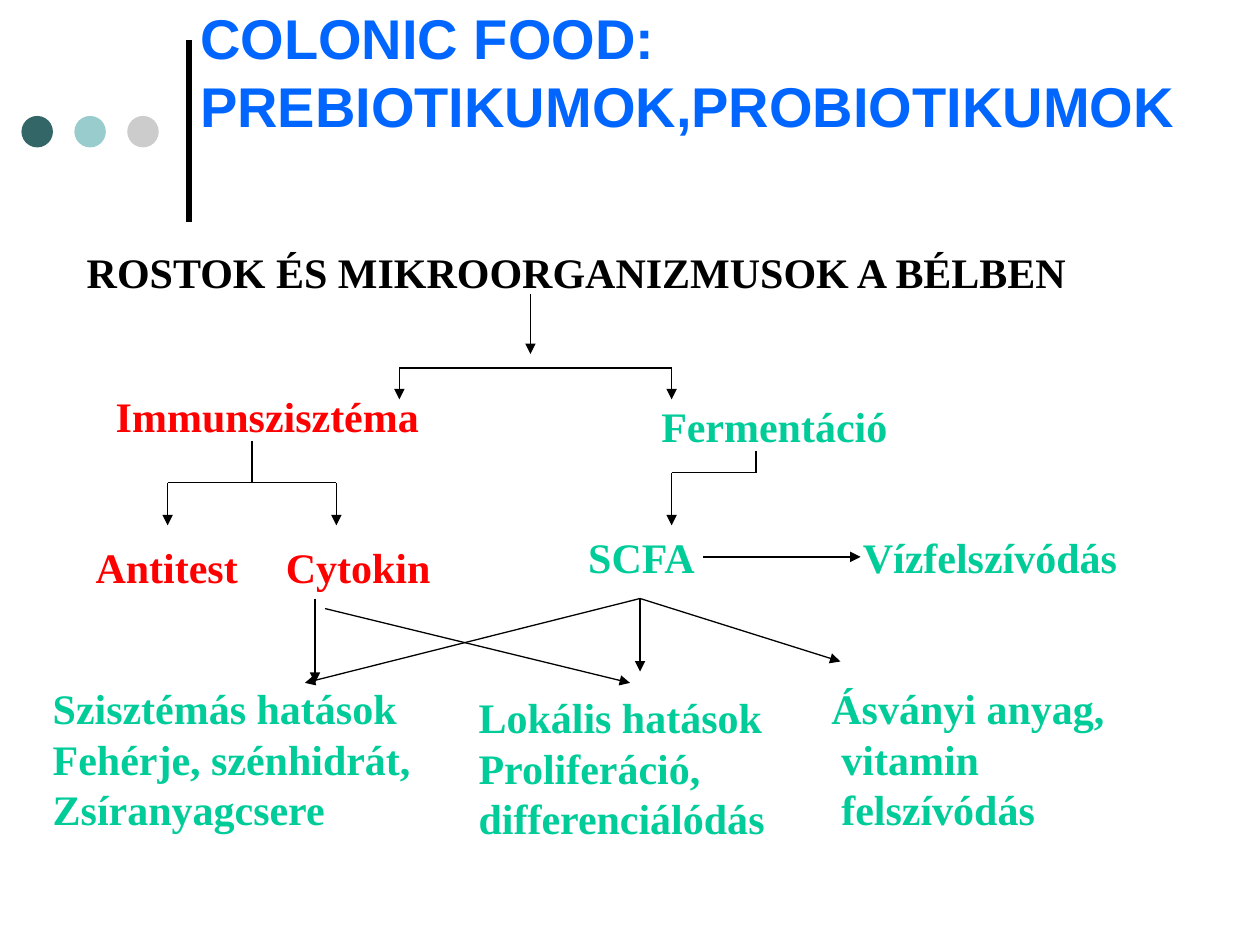
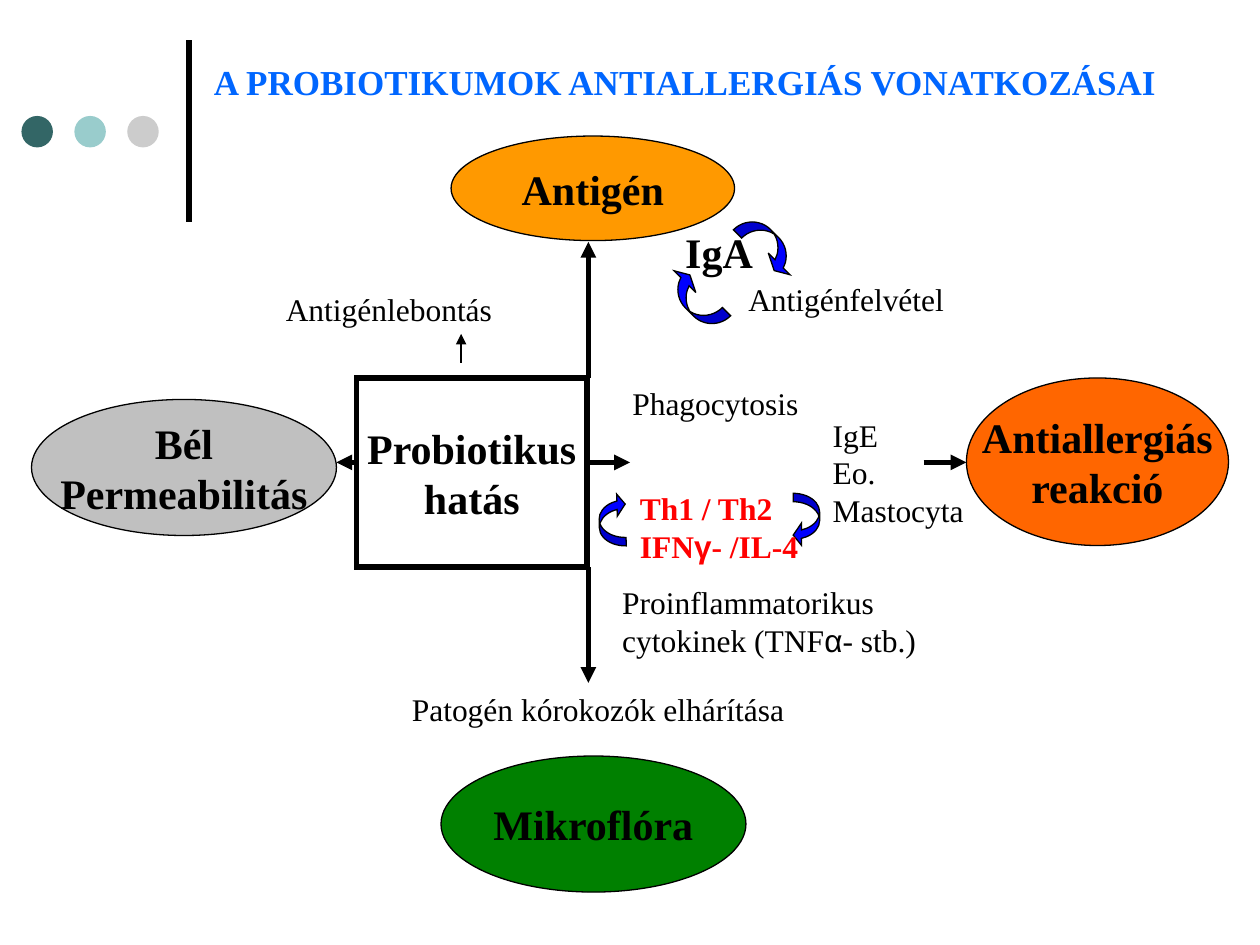
from dataclasses import dataclass
from itertools import groupby

from lxml import etree
from pptx import Presentation
from pptx.dml.color import RGBColor
from pptx.enum import shapes, text
from pptx.oxml import ns
from pptx.util import Inches, Pt


@dataclass(frozen=True)
class Theme:
    title: str = "0066FF"
    ink: str = "000000"
    immune: str = "FF0000"
    gut: str = "00CC99"
    dots: tuple[str, ...] = ("336666", "99CCCC", "CCCCCC")
    cycle: str = "0000FF"
    serif: str = "Times New Roman"
    sans: str = "Arial"
    large_title: float = 32
    small_title: float = 20
    node: float = 24
    note: float = 18
    thin: float = 0.75
    thick: float = 3


THEME = Theme()
Point = tuple[float, float]
Box = tuple[float, float, float, float]


@dataclass(frozen=True)
class Style:
    size: float = THEME.node
    colour: str = THEME.ink
    bold: bool = True
    font: str = THEME.serif
    centred: bool = False


@dataclass(frozen=True)
class Label:
    """Text in a box; a newline starts a paragraph, a vertical tab a line."""
    words: str
    box: Box
    style: Style = Style()
    hanging: float = 0


@dataclass(frozen=True)
class Link:
    start: Point
    end: Point
    arrow: bool = True
    width: float = THEME.thin


@dataclass(frozen=True)
class Node:
    words: str
    box: Box
    fill: str | None
    preset: shapes.MSO_SHAPE = shapes.MSO_SHAPE.OVAL
    width: float = THEME.thin


@dataclass(frozen=True)
class CycleArrow:
    box: Box
    angle: float


NODE = Style(centred=True)
NOTE = Style(THEME.note, bold=False)
IMMUNE = Style(colour=THEME.immune)
GUT = Style(colour=THEME.gut)

# Curved arrow: band and head as parts of its width, head length of its height.
CYCLE_BAND, CYCLE_HEAD, CYCLE_HEAD_LENGTH = .16, .42, .31

FLOW_LABELS = [
    Label("ROSTOK ÉS MIKROORGANIZMUSOK A BÉLBEN", (.59, 1.91, 8.66, .5)),
    Label("Immunszisztéma", (.82, 3.05, 2.64, .5), IMMUNE),
    Label("Fermentáció", (5.15, 3.13, 2.03, .5), GUT),
    Label("Antitest", (.66, 4.25, 1.35, .5), IMMUNE),
    Label("Cytokin", (2.17, 4.25, 1.37, .5), IMMUNE),
    Label("SCFA", (4.57, 4.17, 1.09, .5), GUT),
    Label("Vízfelszívódás", (6.75, 4.17, 2.24, .5), GUT),
    Label("Szisztémás hatások\nFehérje, szénhidrát,\nZsíranyagcsere",
          (.32, 5.37, 3.06, 1.3), GUT),
    Label("Lokális hatások\nProliferáció,\ndifferenciálódás",
          (3.7, 5.44, 2.5, 1.3), GUT),
    Label("Ásványi anyag,\nvitamin\nfelszívódás",
          (6.5, 5.37, 2.4, 1.3), GUT, hanging=.08),
]
FLOW_LINKS = [
    Link((4.21, 2.33), (4.21, 2.81)),
    Link((3.17, 2.92), (5.33, 2.92), arrow=False),
    Link((3.17, 2.92), (3.17, 3.17)),
    Link((5.33, 2.92), (5.33, 3.17)),
    Link((2, 3.5), (2, 3.83), arrow=False),
    Link((1.33, 3.83), (2.67, 3.83), arrow=False),
    Link((1.33, 3.83), (1.33, 4.17)),
    Link((2.67, 3.83), (2.67, 4.17)),
    Link((6, 3.58), (6, 3.75), arrow=False),
    Link((5.33, 3.75), (6, 3.75), arrow=False),
    Link((5.33, 3.75), (5.33, 4.17)),
    Link((5.58, 4.42), (6.83, 4.42)),
    *(Link((5.08, 4.75), end) for end in ((6.67, 5.25), (5.08, 5.33), (2.42, 5.42))),
    Link((2.5, 4.75), (2.5, 5.42)),
    Link((2.58, 4.83), (5, 5.42)),
]

EFFECT_NODES = [
    Node("Probiotikus\vhatás", (2.83, 3, 1.83, 1.5), None,
         shapes.MSO_SHAPE.RECTANGLE, THEME.thick),
    Node("Antigén", (3.58, 1.08, 2.25, .83), "FF9900"),
    Node("Mikroflóra", (3.5, 6, 2.42, 1.08), "008000"),
    Node("Bél\nPermeabilitás", (.25, 3.17, 2.42, 1.08), "C0C0C0"),
    Node("Antiallergiás\vreakció", (7.67, 3, 2.08, 1.33), "FF6600"),
]
EFFECT_LINKS = [
    *(Link(start, end, width=THEME.thick) for start, end in (
        ((4.67, 3), (4.67, 1.92)), ((4.67, 4.5), (4.67, 5.42)),
        ((4.67, 3.67), (5, 3.67)), ((2.83, 3.67), (2.67, 3.67)),
        ((7.33, 3.67), (7.67, 3.67)))),
    Link((3.66, 2.88), (3.66, 2.65)),
]
EFFECT_LABELS = [
    Label("A PROBIOTIKUMOK ANTIALLERGIÁS VONATKOZÁSAI", (1.6, .43, 7.76, .44),
          Style(THEME.small_title, THEME.title)),
    Label("Antigénlebontás", (2.17, 2.25, 1.86, .4), NOTE),
    Label("IgA", (5.34, 1.75, .77, .5)),
    Label("Antigénfelvétel", (5.84, 2.17, 1.79, .4), NOTE),
    Label("Phagocytosis", (4.92, 3, 1.54, .4), NOTE),
    Label("Th1 / Th2\vIFNγ- /IL-4", (4.98, 3.83, 1.48, .7),
          Style(THEME.note, THEME.immune)),
    Label("IgE\vEo.\vMastocyta", (6.51, 3.25, 1.26, 1), NOTE),
    Label("Proinflammatorikus\vcytokinek (TNFα- stb.)", (4.84, 4.58, 2.56, .7), NOTE),
    Label("Patogén kórokozók elhárítása", (3.17, 5.43, 3.18, .4), NOTE),
]
CYCLE_ARROWS = [
    CycleArrow((5.81, 1.85, .58, .21), 45),
    CycleArrow((5.23, 2.27, .58, .21), 225),
    CycleArrow((6.19, 4.02, .42, .21), 90),
    CycleArrow((4.65, 4.02, .42, .21), 268.5),
]


def rgb(colour: str) -> RGBColor:
    return RGBColor.from_string(colour)


def is_greek(letter: str) -> bool:
    return "α" <= letter <= "ω"


def write(frame, words: str, style: Style, hanging: float = 0) -> None:
    """Fill a text frame, setting Greek letters in the sans font."""
    for index, line in enumerate(words.split("\n")):
        paragraph = frame.paragraphs[0] if index == 0 else frame.add_paragraph()
        paragraph.alignment = text.PP_ALIGN.CENTER if style.centred else text.PP_ALIGN.LEFT
        if index and hanging:
            paragraph._p.get_or_add_pPr().set("marL", str(Inches(hanging)))
        font = paragraph.font
        font.name, font.size, font.bold = style.font, Pt(style.size), style.bold
        font.color.rgb = rgb(style.colour)
        for row, part in enumerate(line.split("\v")):
            if row:
                paragraph.add_line_break()
            for greek, letters in groupby(part, is_greek):
                run = paragraph.add_run()
                run.text = "".join(letters)
                if greek:
                    run.font.name = THEME.sans


def add_label(slide, label: Label) -> None:
    frame = slide.shapes.add_textbox(*map(Inches, label.box)).text_frame
    frame.word_wrap = False
    frame.auto_size = text.MSO_AUTO_SIZE.SHAPE_TO_FIT_TEXT
    write(frame, label.words, label.style, label.hanging)


def paint(shape, fill: str | None, width: float = 0) -> None:
    """Set fill and outline; no fill or a zero width leaves that part empty."""
    shape.shadow.inherit = False
    if fill:
        shape.fill.solid()
        shape.fill.fore_color.rgb = rgb(fill)
    else:
        shape.fill.background()
    if width:
        shape.line.color.rgb = rgb(THEME.ink)
        shape.line.width = Pt(width)
        etree.SubElement(shape.line._get_or_add_ln(), ns.qn("a:miter"), lim="800000")
    else:
        shape.line.fill.background()


def add_node(slide, node: Node) -> None:
    shape = slide.shapes.add_shape(node.preset, *map(Inches, node.box))
    paint(shape, node.fill, node.width)
    shape.text_frame.word_wrap = False
    shape.text_frame.vertical_anchor = text.MSO_ANCHOR.MIDDLE
    write(shape.text_frame, node.words, NODE)


def add_link(slide, link: Link) -> None:
    connector = slide.shapes.add_connector(
        shapes.MSO_CONNECTOR.STRAIGHT, *map(Inches, link.start + link.end))
    connector.line.color.rgb = rgb(THEME.ink)
    connector.line.width = Pt(link.width)
    if link.arrow:
        etree.SubElement(connector.line._get_or_add_ln(), ns.qn("a:tailEnd"), type="triangle")
    etree.SubElement(connector._element.spPr, ns.qn("a:effectLst"))


def add_cycle_arrow(slide, arrow: CycleArrow) -> None:
    shape = slide.shapes.add_shape(
        shapes.MSO_SHAPE.CURVED_DOWN_ARROW, *map(Inches, arrow.box))
    ratio = arrow.box[2] / arrow.box[3]
    for index, share in enumerate(
            (CYCLE_BAND * ratio, CYCLE_HEAD * ratio, CYCLE_HEAD_LENGTH)):
        shape.adjustments[index] = share
    shape.rotation = arrow.angle
    paint(shape, THEME.cycle, THEME.thin)


def add_base_slide(presentation):
    """Add a blank slide with the vertical rule and the three dots."""
    slide = presentation.slides.add_slide(presentation.slide_layouts[6])
    add_link(slide, Link((1.5, 1.76), (1.5, .32), arrow=False, width=THEME.thick))
    for index, colour in enumerate(THEME.dots):
        dot_box = (.17 + .42 * index, .92, .25, .25)
        paint(slide.shapes.add_shape(shapes.MSO_SHAPE.OVAL, *map(Inches, dot_box)), colour)
    return slide


def add_flow_slide(presentation) -> None:
    slide = add_base_slide(presentation)
    title = slide.shapes.add_textbox(*map(Inches, (1.49, .18, 8.45, .77))).text_frame
    title.word_wrap = True
    title.vertical_anchor = text.MSO_ANCHOR.MIDDLE
    write(title, "COLONIC FOOD: PREBIOTIKUMOK,PROBIOTIKUMOK",
          Style(THEME.large_title, THEME.title, font=THEME.sans))
    for label in FLOW_LABELS:
        add_label(slide, label)
    for link in FLOW_LINKS:
        add_link(slide, link)


def add_effect_slide(presentation) -> None:
    slide = add_base_slide(presentation)
    for add, items in ((add_node, EFFECT_NODES), (add_link, EFFECT_LINKS),
                       (add_cycle_arrow, CYCLE_ARROWS), (add_label, EFFECT_LABELS)):
        for item in items:
            add(slide, item)


def main() -> None:
    presentation = Presentation()
    presentation.slide_width, presentation.slide_height = Inches(10), Inches(7.5)
    add_flow_slide(presentation)
    add_effect_slide(presentation)
    presentation.save("out.pptx")


if __name__ == "__main__":
    main()
